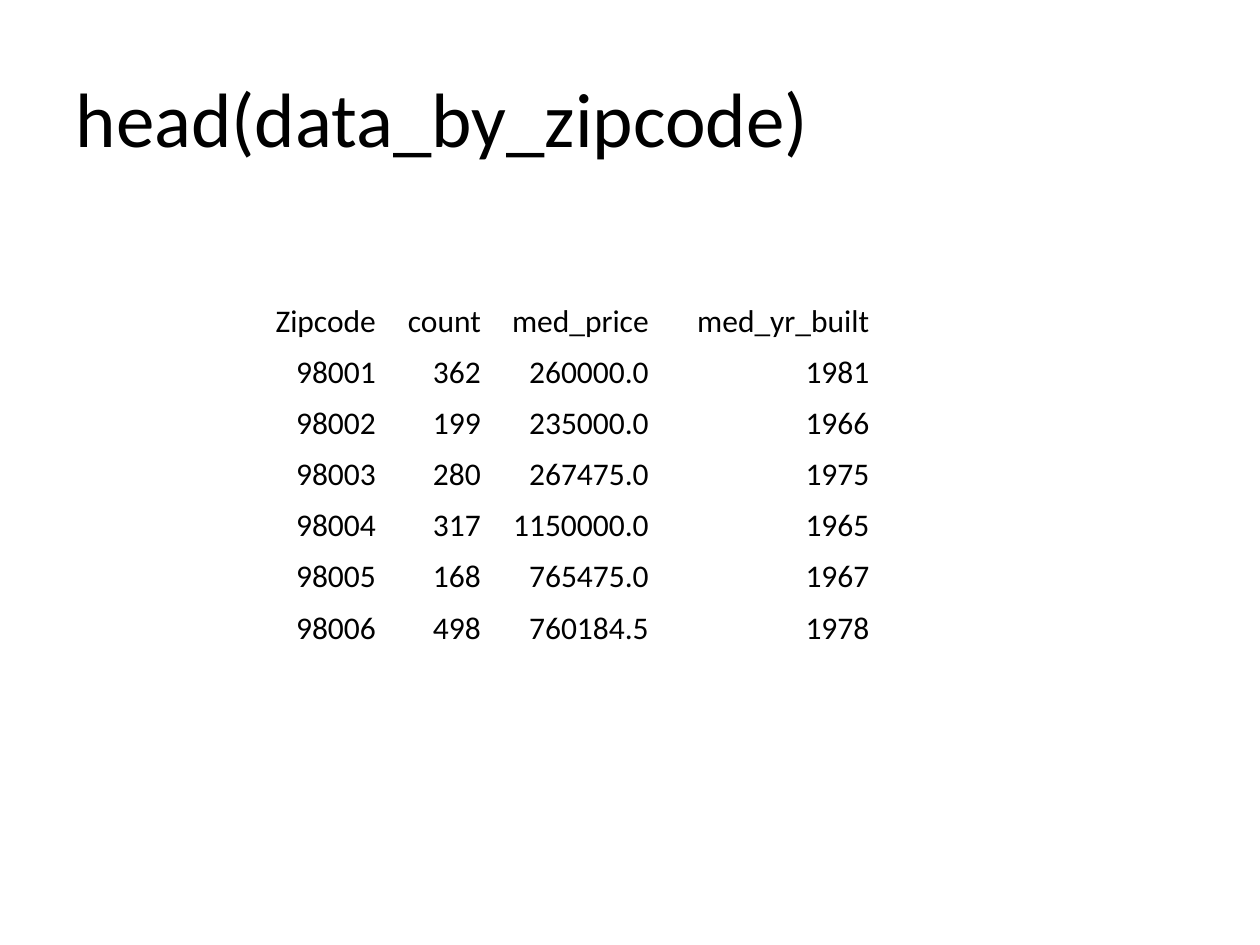
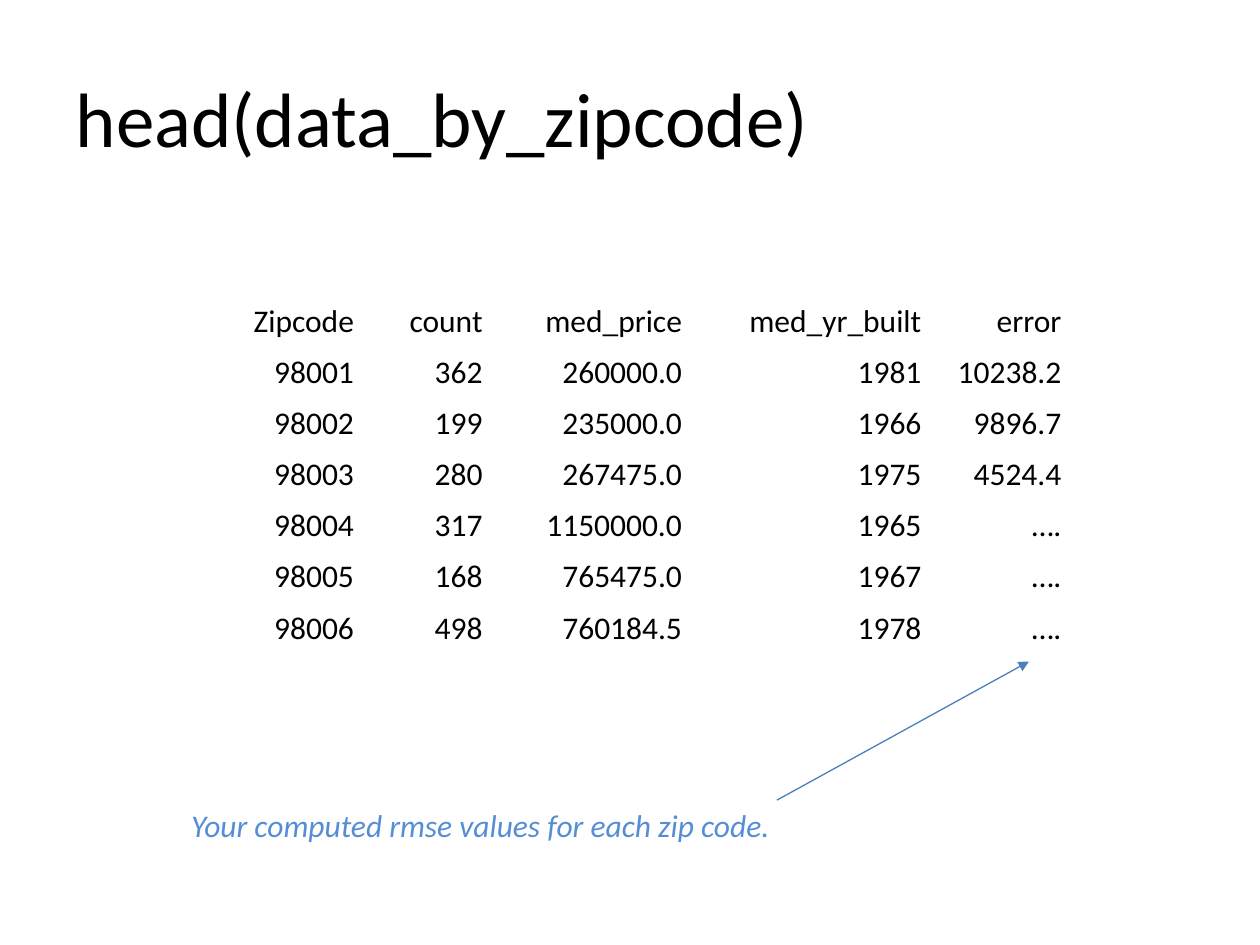
from lxml import etree
from pptx import Presentation
from pptx.dml.color import RGBColor
from pptx.enum import shapes, text
from pptx.oxml import ns
from pptx.util import Pt

BLACK = RGBColor(0x00, 0x00, 0x00)
NOTE_BLUE = RGBColor(0x55, 0x8E, 0xD5)
ARROW_BLUE = RGBColor(0x4B, 0x7E, 0xBC)
FONT = "Calibri"
TABLE_TOP = 169.2
ROW_HEIGHT = 29.2

HEADER = ["Zipcode", "count", "med_price", "med_yr_built"]
ROWS = [
    ["98001", "362", "260000.0", "1981"],
    ["98002", "199", "235000.0", "1966"],
    ["98003", "280", "267475.0", "1975"],
    ["98004", "317", "1150000.0", "1965"],
    ["98005", "168", "765475.0", "1967"],
    ["98006", "498", "760184.5", "1978"],
]
ERRORS = ["error", "10238.2", "9896.7", "4524.4", "….", "….", "…."]

by_zipcode = [HEADER] + ROWS
with_error = [row + [error] for row, error in zip(by_zipcode, ERRORS)]

# Each slide: table rows, left edge and column widths
TABLES = [
    (by_zipcode, 126, [96, 60, 96, 126]),
    (with_error, 105, [104.5, 73.5, 114, 136.8, 80]),
]


def style_text(p, size, color, align=text.PP_ALIGN.LEFT, italic=False):
    """Align a paragraph and format all its runs."""
    p.alignment = align
    for r in p.runs:
        r.font.name = FONT
        r.font.size = Pt(size)
        r.font.color.rgb = color
        r.font.bold = False
        r.font.italic = italic


prs = Presentation()
prs.slide_width = Pt(720)
prs.slide_height = Pt(540)

for rows, left, widths in TABLES:
    s = prs.slides.add_slide(prs.slide_layouts[5])

    title = s.shapes.title
    title.left, title.top = Pt(36), Pt(21.6)
    title.width, title.height = Pt(648), Pt(90)
    tf = title.text_frame
    tf.text = "head(data_by_zipcode)"
    tf.vertical_anchor = text.MSO_ANCHOR.MIDDLE
    style_text(tf.paragraphs[0], 44, BLACK)

    table = s.shapes.add_table(
        len(rows), len(widths), Pt(left), Pt(TABLE_TOP),
        Pt(sum(widths)), Pt(ROW_HEIGHT * len(rows))).table
    table.first_row = False
    table.horz_banding = False
    for column, width in zip(table.columns, widths):
        column.width = Pt(width)
    for i, values in enumerate(rows):
        table.rows[i].height = Pt(ROW_HEIGHT)
        for j, value in enumerate(values):
            cell = table.cell(i, j)
            cell.fill.background()
            cell.vertical_anchor = text.MSO_ANCHOR.MIDDLE
            cell.text_frame.text = value
            style_text(cell.text_frame.paragraphs[0], 18, BLACK,
                       text.PP_ALIGN.RIGHT)

# Note and arrow to the error column, on the last slide
note = s.shapes.add_textbox(Pt(102.2), Pt(457.2), Pt(348.5), Pt(29))
tf = note.text_frame
tf.word_wrap = False
tf.auto_size = text.MSO_AUTO_SIZE.SHAPE_TO_FIT_TEXT
tf.text = "Your computed rmse values for each zip code."
style_text(tf.paragraphs[0], 18, NOTE_BLUE, italic=True)

arrow = s.shapes.add_connector(shapes.MSO_CONNECTOR.STRAIGHT,
                               Pt(444), Pt(457.2), Pt(588), Pt(378))
arrow.line.color.rgb = ARROW_BLUE
arrow.line.width = Pt(0.75)
etree.SubElement(arrow.line._get_or_add_ln(), ns.qn("a:tailEnd"),
                 type="triangle")
etree.SubElement(arrow._element.spPr, ns.qn("a:effectLst"))

prs.save("out.pptx")
